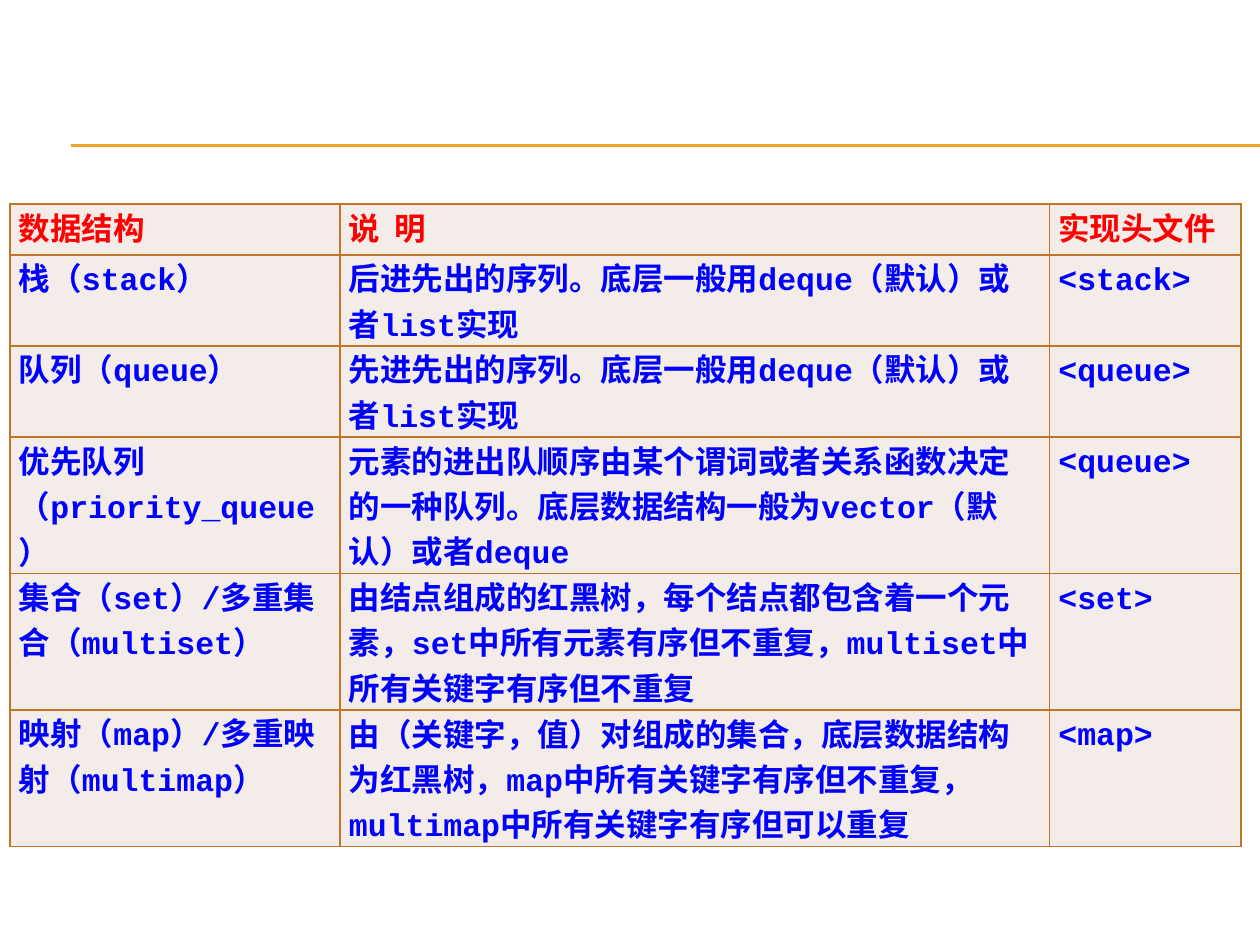
from pptx import Presentation
from pptx.dml.color import RGBColor
from pptx.enum.shapes import MSO_CONNECTOR
from pptx.enum.text import PP_ALIGN
from pptx.oxml.ns import qn
from pptx.util import Pt
from lxml.etree import SubElement

theme = {
    "rule": RGBColor.from_string("F0A22E"),
    "border": "C17529",
    "fill": RGBColor.from_string("F4ECE8"),
    "head": RGBColor.from_string("FF0000"),
    "body": RGBColor.from_string("0000FF"),
    "head_font": "Times New Roman",
    "body_font": "Courier New",
    "size": Pt(18),
    "line": Pt(26),
}

rows = [
    ("数据结构", "说  明", "实现头文件"),
    ("栈（stack）", "后进先出的序列。底层一般用deque（默认）或者list实现", "<stack>"),
    ("队列（queue）", "先进先出的序列。底层一般用deque（默认）或者list实现", "<queue>"),
    ("优先队列（priority_queue）",
     "元素的进出队顺序由某个谓词或者关系函数决定的一种队列。"
     "底层数据结构一般为vector（默认）或者deque", "<queue>"),
    ("集合（set）/多重集合（multiset）",
     "由结点组成的红黑树，每个结点都包含着一个元素，"
     "set中所有元素有序但不重复，multiset中所有关键字有序但不重复", "<set>"),
    ("映射（map）/多重映射（multimap）",
     "由（关键字，值）对组成的集合，底层数据结构为红黑树，"
     "map中所有关键字有序但不重复，multimap中所有关键字有序但可以重复", "<map>"),
]
col_widths = [188.6, 405.4, 109.4]
row_heights = [29, 52, 52, 78, 78, 78]


def add_borders(cell):
    tcPr = cell._tc.get_or_add_tcPr()
    for i, side in enumerate(("lnL", "lnR", "lnT", "lnB")):
        ln = tcPr.makeelement(qn("a:" + side), {"w": str(Pt(1))})
        fill = SubElement(ln, qn("a:solidFill"))
        SubElement(fill, qn("a:srgbClr"), val=theme["border"])
        tcPr.insert(i, ln)


prs = Presentation()
prs.slide_width, prs.slide_height = Pt(720), Pt(540)
s = prs.slides.add_slide(prs.slide_layouts[6])

# Double rule under the title area
for y in (82.8, 83.4):
    rule = s.shapes.add_connector(MSO_CONNECTOR.STRAIGHT, Pt(40.5), Pt(y), Pt(720), Pt(y))
    rule.line.color.rgb = theme["rule"]
    rule.line.width = Pt(0.75)
    SubElement(rule._element.spPr, qn("a:effectLst"))

# Table of container adapters and associative containers
table = s.shapes.add_table(len(rows), len(col_widths), Pt(5.8), Pt(116.6),
                           Pt(sum(col_widths)), Pt(sum(row_heights))).table
table.horz_banding = False
for col, width in zip(table.columns, col_widths):
    col.width = Pt(width)
for row, height in zip(table.rows, row_heights):
    row.height = Pt(height)

# Cell text, fill and borders
for i, texts in enumerate(rows):
    for j, text in enumerate(texts):
        cell = table.cell(i, j)
        cell.margin_left = cell.margin_right = Pt(5)
        cell.margin_top = cell.margin_bottom = Pt(0)
        cell.fill.solid()
        cell.fill.fore_color.rgb = theme["fill"]
        add_borders(cell)
        p = cell.text_frame.paragraphs[0]
        p.line_spacing = theme["line"]
        p.alignment = PP_ALIGN.JUSTIFY if i == 0 or j == 2 else PP_ALIGN.LEFT
        r = p.add_run()
        r.text = text
        part = "head" if i == 0 else "body"
        r.font.name = theme[part + "_font"]
        r.font.size = theme["size"]
        r.font.bold = True
        r.font.color.rgb = theme[part]

prs.save("out.pptx")
